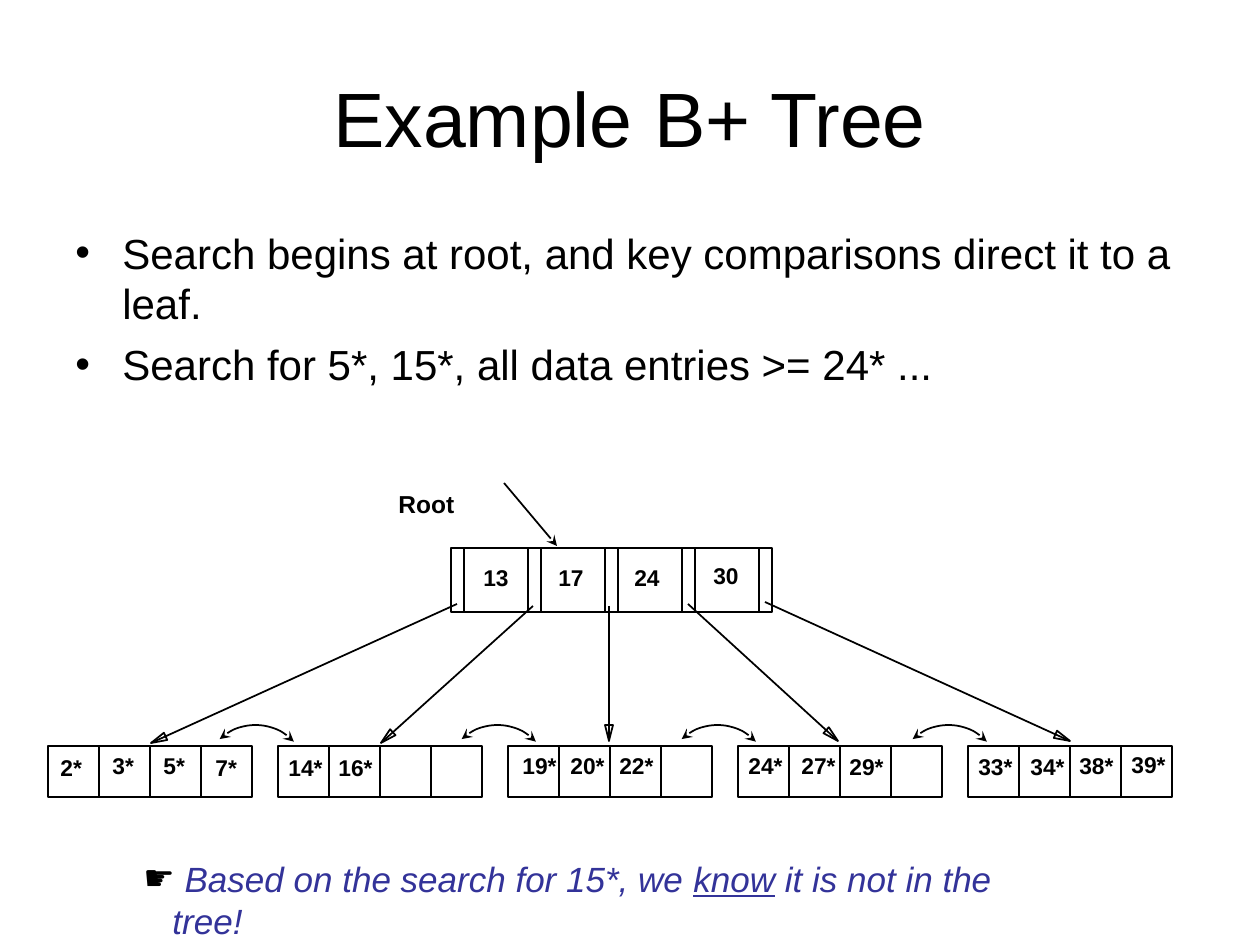
import math

import pptx
import pptx.dml.color
import pptx.enum.shapes
import pptx.enum.text
import pptx.oxml
import pptx.oxml.ns
import pptx.util

PX = 914400 / 126
BLACK = pptx.dml.color.RGBColor(0x00, 0x00, 0x00)
INDIGO = pptx.dml.color.RGBColor(0x33, 0x33, 0x99)

ROOT_X, ROOT_Y, ROOT_W, ROOT_H, SLOT_W = 451, 548, 77, 64, 13
LEAF_X, LEAF_Y, LEAF_STEP, CELL = 48, 746, 230, 51

# key, left, top
ROOT_KEYS = [("13", 471, 558), ("17", 546, 558), ("24", 622, 558), ("30", 701, 556)]
LEAF_ENTRIES = [
    ("2*", 48, 748), ("3*", 100, 746), ("5*", 151, 746), ("7*", 203, 748),
    ("14*", 276, 748), ("16*", 326, 748),
    ("19*", 510, 746), ("20*", 558, 746), ("22*", 607, 746),
    ("24*", 736, 746), ("27*", 789, 746), ("29*", 837, 747),
    ("33*", 966, 747), ("34*", 1018, 747), ("38*", 1067, 746), ("39*", 1119, 745),
]
LABEL_WIDTHS = {"Root": 82, 2: 47, 3: 59}
# start and tip of each child pointer
POINTERS = [
    ((457, 604), (151, 743)), ((533, 606), (381, 743)), ((609, 606), (609, 741)),
    ((688, 604), (838, 741)), ((765, 602), (1070, 741)),
]
SIBLING_ARC_X = [203, 445, 665, 896]


def emu(px):
    return pptx.util.Emu(round(px * PX))


def add_xml(parent, tag, **attrs):
    child = pptx.oxml.parse_xml(f"<a:{tag} {pptx.oxml.ns.nsdecls('a')}/>")
    for name, value in attrs.items():
        child.set(name, str(value))
    parent.append(child)


class Deck:
    """Holds the style and the slide being drawn."""

    font = "Arial"
    line_width = pptx.util.Pt(1)

    def __init__(self, width, height):
        self.prs = pptx.Presentation()
        self.prs.slide_width = emu(width)
        self.prs.slide_height = emu(height)
        self.slide = self.prs.slides.add_slide(self.prs.slide_layouts[6])
        self.shapes = self.slide.shapes

    def text(self, x, y, w, h, paragraphs, size, color=BLACK, bold=False, align=None,
             anchor=pptx.enum.text.MSO_ANCHOR.TOP, wrap=True, bullet=None, indent=0,
             before=0):
        """Each paragraph is a string or a list of (string, font overrides)."""
        s = self.shapes.add_textbox(emu(x), emu(y), emu(w), emu(h))
        tf = s.text_frame
        tf.word_wrap = wrap
        tf.vertical_anchor = anchor
        for i, runs in enumerate(paragraphs):
            p = tf.paragraphs[0] if i == 0 else tf.add_paragraph()
            p.alignment = align
            p.space_before = pptx.util.Pt(before)
            if bullet:
                pPr = p._p.get_or_add_pPr()
                pPr.set("marL", str(emu(indent)))
                pPr.set("indent", str(-emu(indent)))
                add_xml(pPr, "buFont", typeface=self.font)
                add_xml(pPr, "buChar", char=bullet)
            for content, extra in [(runs, {})] if isinstance(runs, str) else runs:
                r = p.add_run()
                r.text = content
                r.font.name = self.font
                r.font.size = pptx.util.Pt(size)
                r.font.bold = bold
                r.font.italic = extra.get("italic", False)
                r.font.underline = extra.get("underline", False)
                r.font.color.rgb = extra.get("color", color)

    def label(self, content, x, y, size=13):
        w = LABEL_WIDTHS.get(content, LABEL_WIDTHS[len(content)] if "*" in content else 50)
        self.text(x, y, w, 41, [content], size, bold=True, wrap=False)

    def outline(self, s):
        s.shadow.inherit = False
        s.fill.background()
        s.line.color.rgb = BLACK
        s.line.width = self.line_width

    def box(self, x, y, w, h):
        s = self.shapes.add_shape(pptx.enum.shapes.MSO_SHAPE.RECTANGLE,
                                  emu(x), emu(y), emu(w), emu(h))
        self.outline(s)

    def line(self, start, end, tail=None):
        s = self.shapes.add_connector(pptx.enum.shapes.MSO_CONNECTOR.STRAIGHT,
                                      *map(emu, (*start, *end)))
        s.line.color.rgb = BLACK
        s.line.width = self.line_width
        if tail:
            add_xml(s.line._get_or_add_ln(), "tailEnd", type=tail)
        add_xml(s._element.spPr, "effectLst")

    def pointer(self, start, tip):
        """Line that ends in a hollow triangle."""
        self.line(start, tip)
        angle = math.atan2(tip[1] - start[1], tip[0] - start[0])
        dx, dy = math.cos(angle), math.sin(angle)
        length, half = 16, 4
        corners = [(tip[0] - length * dx - side * half * dy,
                    tip[1] - length * dy + side * half * dx) for side in (1, -1)]
        fb = self.shapes.build_freeform(emu(tip[0]), emu(tip[1]))
        fb.add_line_segments([(emu(x), emu(y)) for x, y in corners], close=True)
        self.outline(fb.convert_to_shape())

    def double_arc(self, x, y, size):
        s = self.shapes.add_shape(pptx.enum.shapes.MSO_SHAPE.ARC,
                                  emu(x), emu(y), emu(size), emu(size))
        self.outline(s)
        s.rotation = 317
        ln = s.line._get_or_add_ln()
        add_xml(ln, "headEnd", type="stealth")
        add_xml(ln, "tailEnd", type="stealth")


def draw_texts(deck):
    deck.text(63, 38, 1134, 158, ["Example B+ Tree"], 44,
              align=pptx.enum.text.PP_ALIGN.CENTER,
              anchor=pptx.enum.text.MSO_ANCHOR.MIDDLE)
    deck.text(63, 221, 1134, 624,
              ["Search begins at root, and key comparisons direct it to a leaf.",
               "Search for 5*, 15*, all data entries >= 24* ..."],
              24, bullet="•", indent=47, before=6)
    note = {"color": INDIGO, "italic": True}
    deck.text(131, 851, 940, 54,
              [[(" ", {}),
                ("Based on the search for 15*, we ", note),
                ("know", {**note, "underline": True}),
                (" it is not in the tree!", note)]],
              20, bullet="☛", indent=29)


def draw_tree(deck):
    for i in range(4):
        x = ROOT_X + i * ROOT_W
        deck.box(x, ROOT_Y, ROOT_W, ROOT_H)
        deck.line((x + SLOT_W, ROOT_Y), (x + SLOT_W, ROOT_Y + ROOT_H))
    deck.box(ROOT_X + 4 * ROOT_W, ROOT_Y, SLOT_W, ROOT_H)

    for leaf in range(5):
        for cell in range(4):
            deck.box(LEAF_X + leaf * LEAF_STEP + cell * CELL, LEAF_Y, CELL, CELL)

    for start, tip in POINTERS:
        deck.pointer(start, tip)
    deck.label("Root", 386, 483, size=14)
    for key, x, y in ROOT_KEYS + LEAF_ENTRIES:
        deck.label(key, x, y)
    deck.line((504, 483), (557, 546), tail="stealth")
    for x in SIBLING_ARC_X:
        deck.double_arc(x, 725, 105)


def main():
    deck = Deck(1260, 945)
    draw_texts(deck)
    draw_tree(deck)
    deck.prs.save("out.pptx")


if __name__ == "__main__":
    main()
